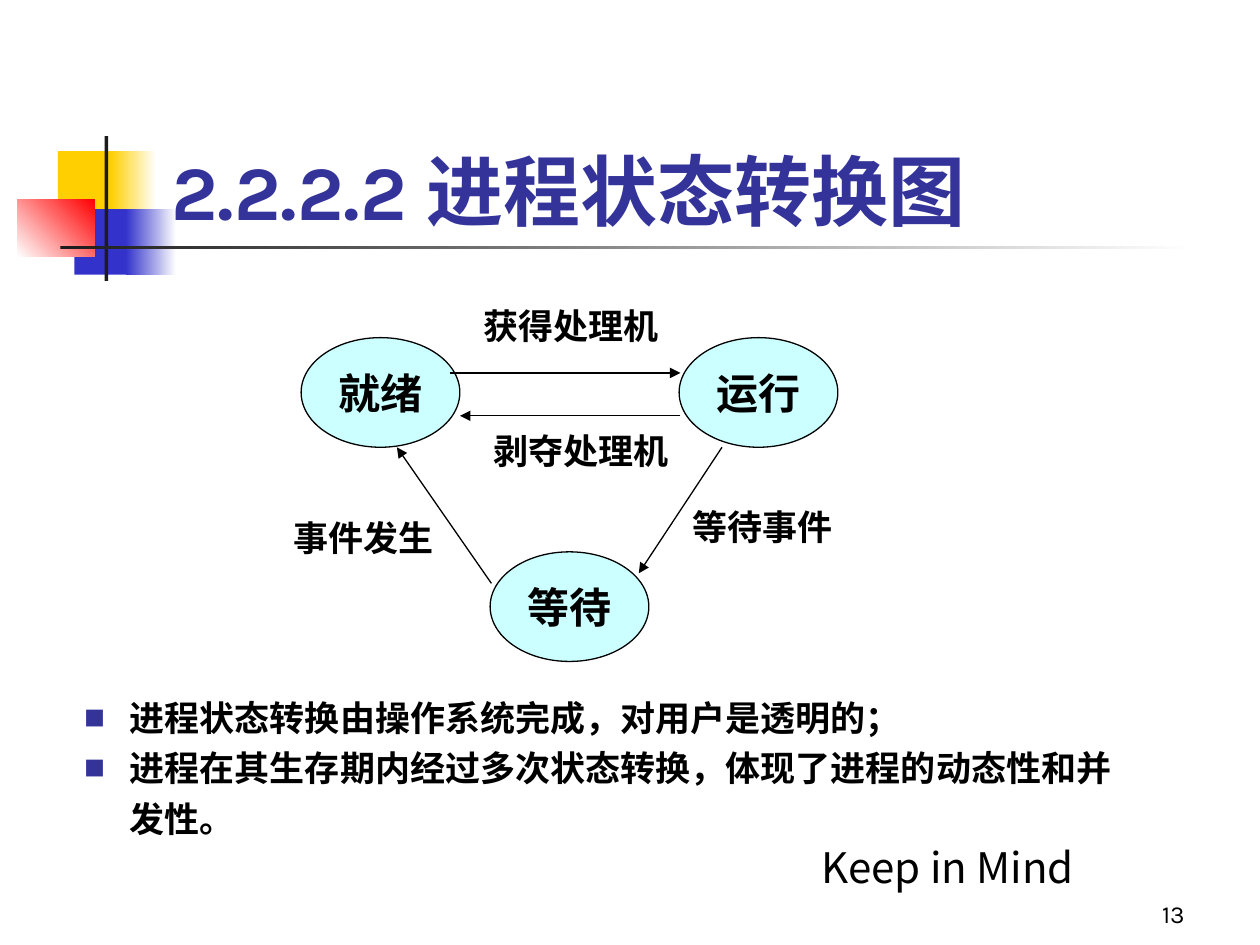
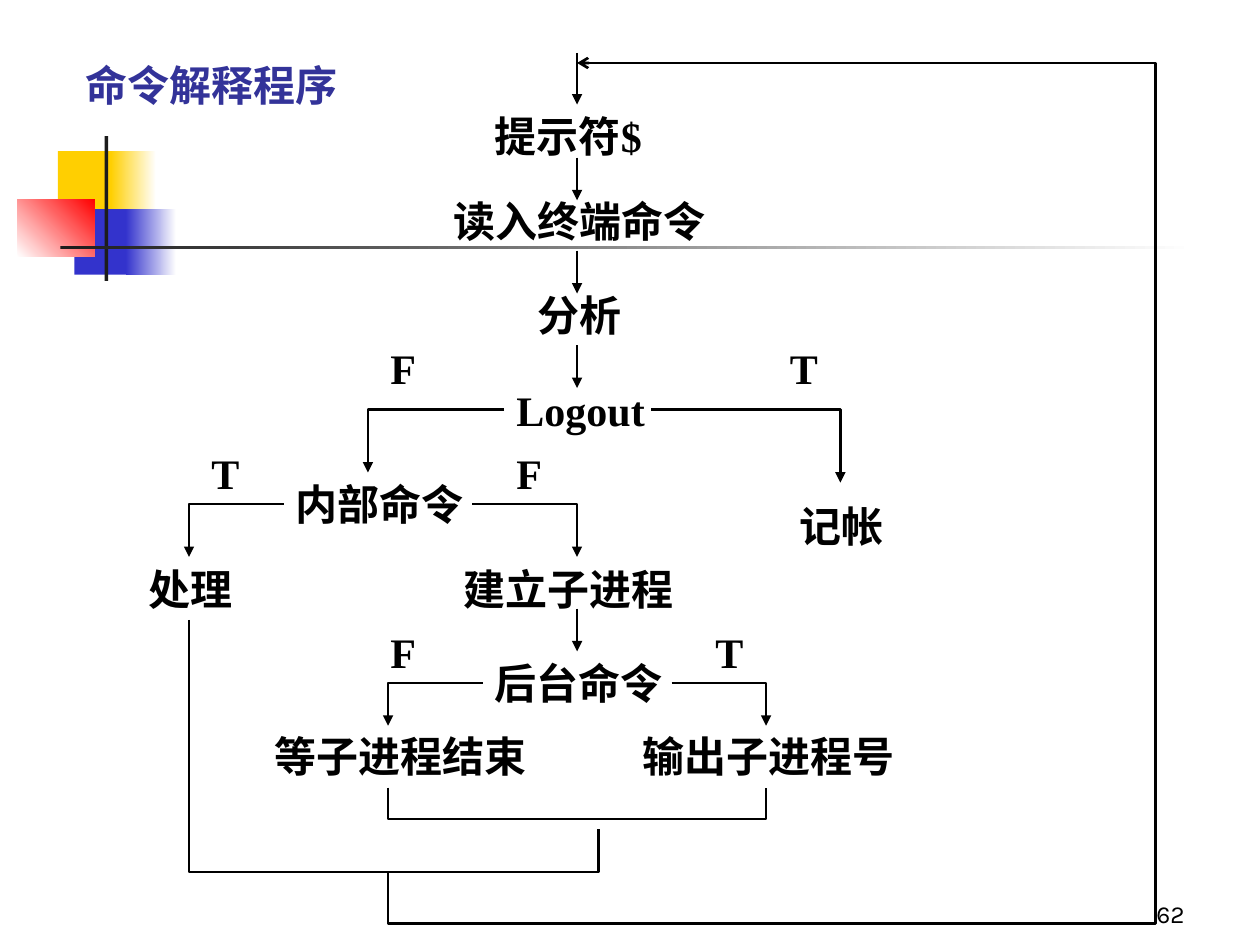
from dataclasses import dataclass
from typing import NamedTuple

from pptx import Presentation
from pptx.dml.color import RGBColor
from pptx.enum.shapes import MSO_CONNECTOR, MSO_SHAPE
from pptx.enum.text import MSO_ANCHOR, MSO_AUTO_SIZE, PP_ALIGN
from pptx.oxml import parse_xml
from pptx.oxml.ns import nsdecls, qn
from pptx.oxml.xmlchemy import OxmlElement
from pptx.util import Inches, Pt


@dataclass(frozen=True)
class Theme:
    ink: str = "000000"
    title: str = "333399"
    state: str = "CCFFFF"
    yellow: str = "FFCF01"
    blue: str = "3333CC"
    red: str = "FF0000"
    bar: str = "1C1C1C"
    paper: str = "FFFFFF"
    serif: str = "Times New Roman"
    sans: str = "Karla"
    chinese: str = "Noto Sans CJK SC"
    title_size: int = 44
    node_size: int = 24
    label_size: int = 20
    number_size: int = 14
    thin: float = 0.75
    thick: float = 1.5


THEME = Theme()
Point = tuple[float, float]


class Box(NamedTuple):
    left: float
    top: float
    width: float
    height: float

    def lengths(self) -> list[int]:
        return [Inches(value) for value in self]


class Band(NamedTuple):
    box: Box
    start: str
    end: str | None = None
    angle: int = 0


class Label(NamedTuple):
    text: str
    left: float
    top: float
    width: float


class Route(NamedTuple):
    points: list[Point]
    head: str | None = "triangle"


@dataclass(frozen=True)
class Style:
    size: int = THEME.node_size
    font: str = THEME.serif
    color: str = THEME.ink
    bold: bool = True
    align: PP_ALIGN = PP_ALIGN.LEFT


NODE = Style()
STATE = Style(align=PP_ALIGN.CENTER)
LABEL = Style(size=THEME.label_size)
TITLE = Style(size=THEME.title_size, font=THEME.sans, color=THEME.title)
HEADING = Style(color=THEME.title)
REMARK = Style(font=THEME.chinese, bold=False)
BODY = Style(size=THEME.label_size, font=THEME.chinese)
NUMBER = Style(size=THEME.number_size, font=THEME.sans, bold=False, align=PP_ALIGN.RIGHT)

BANDS = [
    Band(Box(0.46, 1.2, 0.48, 0.52), THEME.yellow),
    Band(Box(0.88, 1.2, 0.36, 0.52), THEME.yellow, THEME.paper),
    Band(Box(0.59, 1.66, 0.46, 0.52), THEME.blue),
    Band(Box(1, 1.66, 0.4, 0.52), THEME.blue, THEME.paper),
    Band(Box(0.14, 1.58, 0.61, 0.46), THEME.paper, THEME.red, 45),
    Band(Box(0.83, 1.08, 0.03, 1.15), THEME.bar),
    Band(Box(0.48, 1.95, 9, 0.03), THEME.bar, THEME.paper),
]

STATES = [("就绪", 2.39, 2.68), ("等待", 3.89, 4.38), ("运行", 5.39, 2.68)]
TRANSITIONS = [
    ((3.57, 2.96), (5.4, 2.96)),
    ((5.73, 3.55), (5.07, 4.55)),
    ((3.9, 4.63), (3.15, 3.55)),
    ((5.4, 3.3), (3.65, 3.3)),
]
TRANSITION_LABELS = [
    Label("获得处理机", 3.74, 2.37, 1.67),
    Label("剥夺处理机", 3.82, 3.36, 1.67),
    Label("等待事件", 5.4, 3.96, 1.33),
    Label("事件发生", 2.23, 4.05, 1.33),
]
REMARKS = [
    "进程状态转换由操作系统完成，对用户是透明的；",
    "进程在其生存期内经过多次状态转换，体现了进程的动态性和并发性。",
]

SPINE = 4.58
SPINE_ARROWS = [(0.42, 0.83), (1.25, 1.59), (1.99, 2.33), (2.74, 3.08), (4.83, 5.17)]
STEPS = [
    Label("提示符$", 3.83, 0.83, 1.58),
    Label("读入终端命令", 3.5, 1.5, 2.25),
    Label("分析", 4.17, 2.25, 0.92),
    Label("Logout", 4, 3, 1.25),
    Label("内部命令", 2.25, 3.75, 1.67),
    Label("处理", 1.08, 4.42, 0.92),
    Label("建立子进程", 3.58, 4.42, 1.92),
    Label("后台命令", 3.83, 5.17, 1.67),
    Label("等子进程结束", 2.08, 5.75, 2.25),
    Label("输出子进程号", 5, 5.75, 2.33),
    Label("记帐", 6.25, 3.92, 0.92),
]
ANSWERS = [
    Label(text, left, top, 0.42)
    for text, left, top in [
        ("T", 6.17, 2.67), ("F", 3, 2.67), ("T", 1.58, 3.5),
        ("F", 4, 3.5), ("F", 3, 4.92), ("T", 5.58, 4.92),
    ]
]
BRANCHES = [
    ((4, 3.25), (2.92, 3.75)),
    ((2.25, 4), (1.5, 4.42)),
    ((3.75, 4), (SPINE, 4.42)),
    ((5.33, 5.42), (6.08, 5.76)),
    ((3.83, 5.42), (3.08, 5.76)),
    ((5.17, 3.25), (6.67, 3.83)),
]
ROUTES = [Route([start, (end[0], start[1]), end]) for start, end in BRANCHES] + [
    Route([(3.08, 6.25), (3.08, 6.5), (6.08, 6.5), (6.08, 6.25)], None),
    Route([(1.5, 4.92), (1.5, 6.92), (4.75, 6.92), (4.75, 6.58)], None),
    Route([(3.08, 6.92), (3.08, 7.33), (9.17, 7.33), (9.17, 0.5), (SPINE, 0.5)], "arrow"),
]


def rgb(color: str) -> RGBColor:
    return RGBColor.from_string(color)


def apply(target, values: dict) -> None:
    for name, value in values.items():
        setattr(target, name, value)


def write(paragraph, text: str, style: Style) -> None:
    run = paragraph.add_run()
    run.text = text
    apply(paragraph, {"alignment": style.align})
    apply(run.font, {"size": Pt(style.size), "name": style.font, "bold": style.bold})
    run.font.color.rgb = rgb(style.color)
    east_asian = OxmlElement("a:ea")
    east_asian.set("typeface", THEME.chinese)
    run.font._element.find(qn("a:latin")).addnext(east_asian)


def add_text(slide, text: str, box: Box, style: Style, **frame_values) -> None:
    frame = slide.shapes.add_textbox(*box.lengths()).text_frame
    apply(frame, {"word_wrap": True, **frame_values})
    write(frame.paragraphs[0], text, style)


def add_labels(slide, labels: list[Label], height: float, style: Style) -> None:
    for label in labels:
        box = Box(label.left, label.top, label.width, height)
        add_text(slide, label.text, box, style, auto_size=MSO_AUTO_SIZE.SHAPE_TO_FIT_TEXT)


def draw_line(shape, width: float, head: str | None) -> None:
    shape.line.color.rgb = rgb(THEME.ink)
    shape.line.width = Pt(width)
    if head:
        tail = OxmlElement("a:tailEnd")
        tail.set("type", head)
        shape._element.spPr.find(qn("a:ln")).append(tail)


def add_arrow(slide, start: Point, end: Point, width: float) -> None:
    ends = [Inches(value) for value in (*start, *end)]
    arrow = slide.shapes.add_connector(MSO_CONNECTOR.STRAIGHT, *ends)
    draw_line(arrow, width, "triangle")
    arrow._element.spPr.append(OxmlElement("a:effectLst"))


def add_route(slide, route: Route) -> None:
    start, *turns = [(Inches(x), Inches(y)) for x, y in route.points]
    builder = slide.shapes.build_freeform(*start)
    builder.add_line_segments(turns, close=False)
    outline = builder.convert_to_shape()
    outline.shadow.inherit = False
    outline.fill.background()
    draw_line(outline, THEME.thick, route.head)


def add_state(slide, text: str, left: float, top: float) -> None:
    state = slide.shapes.add_shape(MSO_SHAPE.OVAL, *Box(left, top, 1.26, 0.87).lengths())
    state.shadow.inherit = False
    state.fill.solid()
    state.fill.fore_color.rgb = rgb(THEME.state)
    draw_line(state, THEME.thin, None)
    apply(state.text_frame, {"word_wrap": False, "vertical_anchor": MSO_ANCHOR.MIDDLE})
    write(state.text_frame.paragraphs[0], text, STATE)


def add_band(slide, band: Band) -> None:
    shape = slide.shapes.add_shape(MSO_SHAPE.RECTANGLE, *band.box.lengths())
    shape.shadow.inherit = False
    shape.line.fill.background()
    if band.end is None:
        shape.fill.solid()
        shape.fill.fore_color.rgb = rgb(band.start)
        return
    shape.fill.gradient()
    shape.fill.gradient_angle = band.angle
    for stop, color in zip(shape.fill.gradient_stops, (band.start, band.end)):
        stop.color.rgb = rgb(color)


def add_remarks(slide) -> None:
    frame = slide.shapes.add_textbox(*Box(0.67, 5.46, 8.23, 1.2).lengths()).text_frame
    margins = dict.fromkeys(("margin_left", "margin_top", "margin_right", "margin_bottom"), 0)
    apply(frame, {"word_wrap": True, "auto_size": MSO_AUTO_SIZE.SHAPE_TO_FIT_TEXT, **margins})
    bullet = [
        f'<a:buClr {nsdecls("a")}><a:srgbClr val="{THEME.title}"/></a:buClr>',
        f'<a:buSzPct {nsdecls("a")} val="60000"/>',
        f'<a:buFont {nsdecls("a")} typeface="{THEME.chinese}"/>',
        f'<a:buChar {nsdecls("a")} char="■"/>',
    ]
    for index, text in enumerate(REMARKS):
        paragraph = frame.add_paragraph() if index else frame.paragraphs[0]
        paragraph.line_spacing = 1.2
        properties = paragraph._element.get_or_add_pPr()
        properties.set("marL", str(Inches(0.36)))
        properties.set("indent", str(-Inches(0.36)))
        for part in bullet:
            properties.append(parse_xml(part))
        write(paragraph, text, BODY)


def new_slide(deck):
    slide = deck.slides.add_slide(deck.slide_layouts[6])
    for band in BANDS:
        add_band(slide, band)
    return slide


def add_number(slide, number: str) -> None:
    add_text(slide, number, Box(7.42, 6.92, 2.08, 0.5), NUMBER, vertical_anchor=MSO_ANCHOR.BOTTOM)


def build_state_diagram(deck) -> None:
    slide = new_slide(deck)
    for state in STATES:
        add_state(slide, *state)
    for start, end in TRANSITIONS:
        add_arrow(slide, start, end, THEME.thin)
    add_labels(slide, TRANSITION_LABELS, 0.44, LABEL)
    add_text(slide, "2.2.2.2 进程状态转换图", Box(1.26, 0.67, 8.52, 1.25), TITLE,
             vertical_anchor=MSO_ANCHOR.BOTTOM)
    add_text(slide, "Keep in Mind", Box(6.42, 6.63, 3, 0.67), REMARK, word_wrap=False)
    add_remarks(slide)
    add_number(slide, "13")


def build_command_flow(deck) -> None:
    slide = new_slide(deck)
    add_labels(slide, [Label("命令解释程序", 0.58, 0.42, 2.42)], 0.5, HEADING)
    add_labels(slide, STEPS + ANSWERS, 0.5, NODE)
    for top, bottom in SPINE_ARROWS:
        add_arrow(slide, (SPINE, top), (SPINE, bottom), THEME.thick)
    for route in ROUTES:
        add_route(slide, route)
    add_number(slide, "62")


def main() -> None:
    deck = Presentation()
    apply(deck, {"slide_width": Inches(10), "slide_height": Inches(7.5)})
    build_state_diagram(deck)
    build_command_flow(deck)
    deck.save("out.pptx")


if __name__ == "__main__":
    main()
